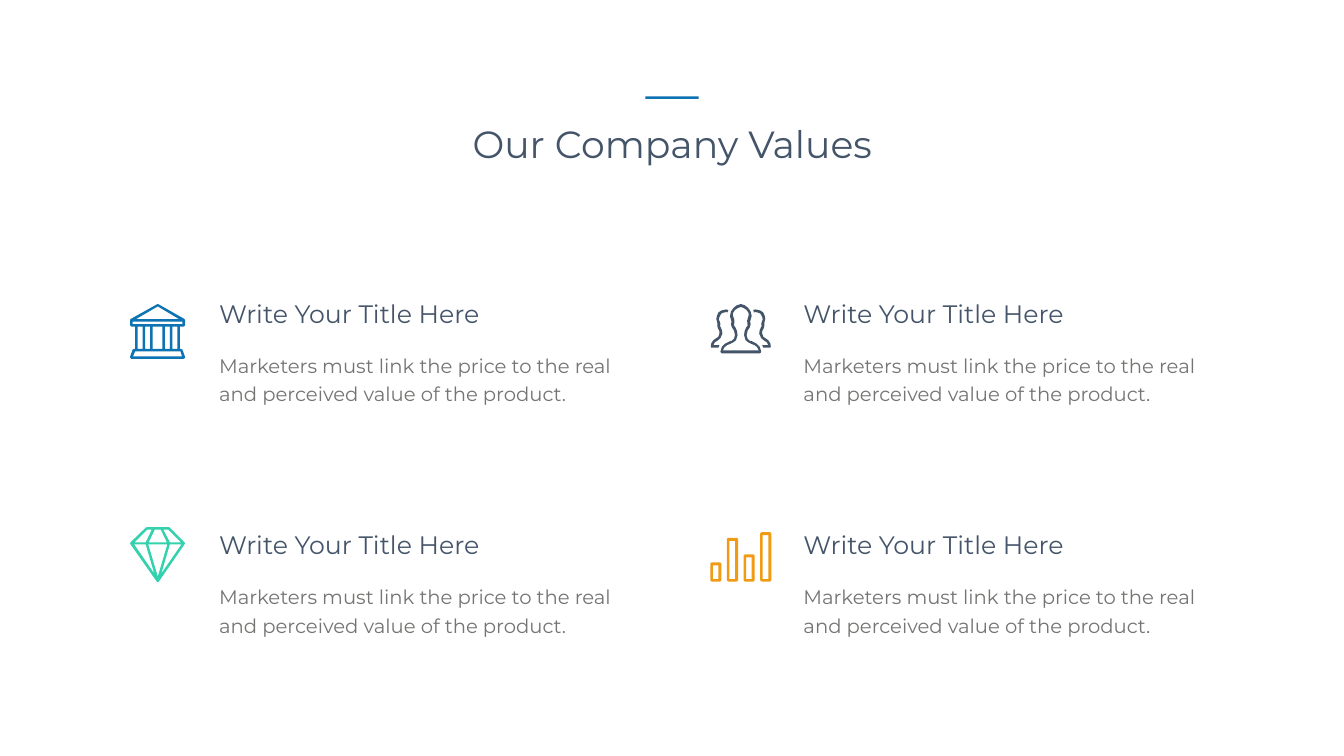
from pptx import Presentation
from pptx.dml.color import RGBColor
from pptx.enum.shapes import MSO_SHAPE
from pptx.enum.text import MSO_ANCHOR, MSO_AUTO_SIZE, PP_ALIGN
from pptx.util import Inches, Pt

COLORS = {"navy": "445469", "blue": "0D73B2", "gray": "737572",
          "orange": "F19A14", "green": "33D1AD"}


def write(shape, text, size, color, wrap=True):
    frame = shape.text_frame
    frame.word_wrap = wrap
    frame.auto_size = MSO_AUTO_SIZE.NONE
    frame.vertical_anchor = MSO_ANCHOR.TOP
    para = frame.paragraphs[0]
    para.text = text
    para.font.name = "Montserrat"
    para.font.size = Pt(size)
    para.font.color.rgb = RGBColor.from_string(COLORS[color])
    return para


def draw(left, top, color, loops):
    """Draw an icon from closed loops of points in hundredths of an inch."""
    pen = shapes.build_freeform(*loops[0][0], scale=Inches(0.01))
    for i, loop in enumerate(loops):
        if i:
            pen.move_to(*loop[0])
        pen.add_line_segments(loop[1:], close=True)
    icon = pen.convert_to_shape(Inches(left), Inches(top))
    icon.shadow.inherit = False
    icon.fill.solid()
    icon.fill.fore_color.rgb = RGBColor.from_string(COLORS[color])
    icon.line.fill.background()


deck = Presentation()
deck.slide_width, deck.slide_height = Inches(26.66), Inches(15)
slide = deck.slides.add_slide(deck.slide_layouts[5])
shapes = slide.shapes

# Heading
title = shapes.title
title.left, title.top = Inches(9.2), Inches(2.34)
title.width, title.height = Inches(8.27), Inches(1.01)
write(title, "Our Company Values", 54, "navy", wrap=False).alignment = PP_ALIGN.CENTER

rule = shapes.add_shape(MSO_SHAPE.RECTANGLE, Inches(12.8), Inches(1.91),
                        Inches(1.06), Inches(0.05))
rule.shadow.inherit = False
rule.fill.solid()
rule.fill.fore_color.rgb = RGBColor.from_string(COLORS["blue"])
rule.line.fill.background()

# Four values
for left in (4.25, 15.84):
    for top in (5.87, 10.46):
        head = shapes.add_textbox(Inches(left), Inches(top), Inches(5.73), Inches(0.71))
        write(head, "Write Your Title Here", 36, "navy")
        body = shapes.add_textbox(Inches(left), Inches(top + 1), Inches(8.23), Inches(1.2))
        para = write(body, "Marketers must link the price to the real and perceived "
                           "value of the product.", 28, "gray")
        para.line_spacing = Pt(40.8)

# People: left halves, mirrored to the right
outer = [(60, 0), (51, 3), (45, 8), (40, 15), (38, 24), (41, 35), (40, 41), (42, 47),
         (46, 53), (48, 62), (46, 69), (42, 73), (38, 74), (28, 79), (22, 85),
         (19, 95), (20, 97), (22, 98)]
inner = [(60, 6), (54, 8), (48, 12), (44, 18), (44, 23), (47, 33), (46, 43), (49, 47),
         (52, 54), (53, 62), (50, 72), (45, 76), (39, 79), (32, 82), (27, 86), (24, 92)]
side = [(13, 73), (19, 68), (23, 59), (22, 52), (19, 45), (18, 44), (19, 40), (18, 36),
        (16, 31), (17, 26), (20, 20), (23, 18), (30, 16), (33, 17), (35, 12), (30, 11),
        (21, 13), (15, 17), (12, 24), (11, 30), (13, 38), (13, 44), (14, 48), (17, 54),
        (17, 59), (15, 65), (11, 68), (5, 72), (1, 78), (0, 84), (1, 87), (3, 87),
        (15, 87), (17, 82), (5, 82), (8, 76)]
flip = [[(119 - x, y) for x, y in half] for half in (outer, inner, side)]
draw(14.1, 6.03, "navy", [outer + flip[0][::-1], inner + flip[1][::-1], side, flip[2]])

# Bars: a rounded frame with a hollow core
bars = []
for i, top in enumerate((60, 11, 44, 0)):
    x, end = 33 * i, 98
    bars.append([(x, top + 3), (x + 1, top + 1), (x + 3, top), (x + 19, top),
                 (x + 21, top + 1), (x + 22, top + 3), (x + 22, end - 3),
                 (x + 21, end - 1), (x + 19, end), (x + 3, end),
                 (x + 1, end - 1), (x, end - 3)])
    bars.append([(x + 5, top + 6), (x + 16, top + 6), (x + 16, end - 5), (x + 5, end - 5)])
draw(14.09, 10.56, "orange", bars)

# Temple
temple = [[(55, 0), (57, 1), (108, 30), (109, 32), (109, 42), (108, 44), (106, 45),
           (99, 45), (99, 89), (101, 89), (104, 91), (109, 105), (109, 107), (106, 109),
           (3, 109), (0, 107), (0, 105), (5, 91), (8, 89), (10, 89), (10, 45), (3, 45),
           (1, 44), (0, 42), (0, 32), (1, 30), (53, 1)],
          [(55, 5), (97, 30), (12, 30)],
          [(10, 94), (100, 94), (103, 104), (6, 104)]]
for x, y, w, h in [(5, 35, 99, 5), (15, 45, 10, 44), (30, 45, 10, 44),
                   (45, 45, 19, 44), (69, 45, 10, 44), (84, 45, 10, 44)]:
    temple.append([(x, y), (x + w, y), (x + w, y + h), (x, y + h)])
draw(2.58, 6.03, "blue", temple)

# Diamond
facets = [[(62, 92), (79, 34), (102, 34)], [(55, 98), (36, 34), (74, 34)],
          [(8, 34), (31, 34), (48, 92)], [(34, 5), (43, 5), (31, 30), (9, 30)],
          [(61, 5), (73, 30), (37, 30), (49, 5)], [(76, 5), (101, 30), (79, 30), (66, 5)]]
rim = [(33, 0), (77, 0), (79, 1), (108, 30), (109, 32), (108, 34), (57, 108),
       (55, 109), (53, 108), (1, 34), (0, 32), (1, 30), (31, 1)]
draw(2.58, 10.46, "green", [rim] + facets)

deck.save("out.pptx")
